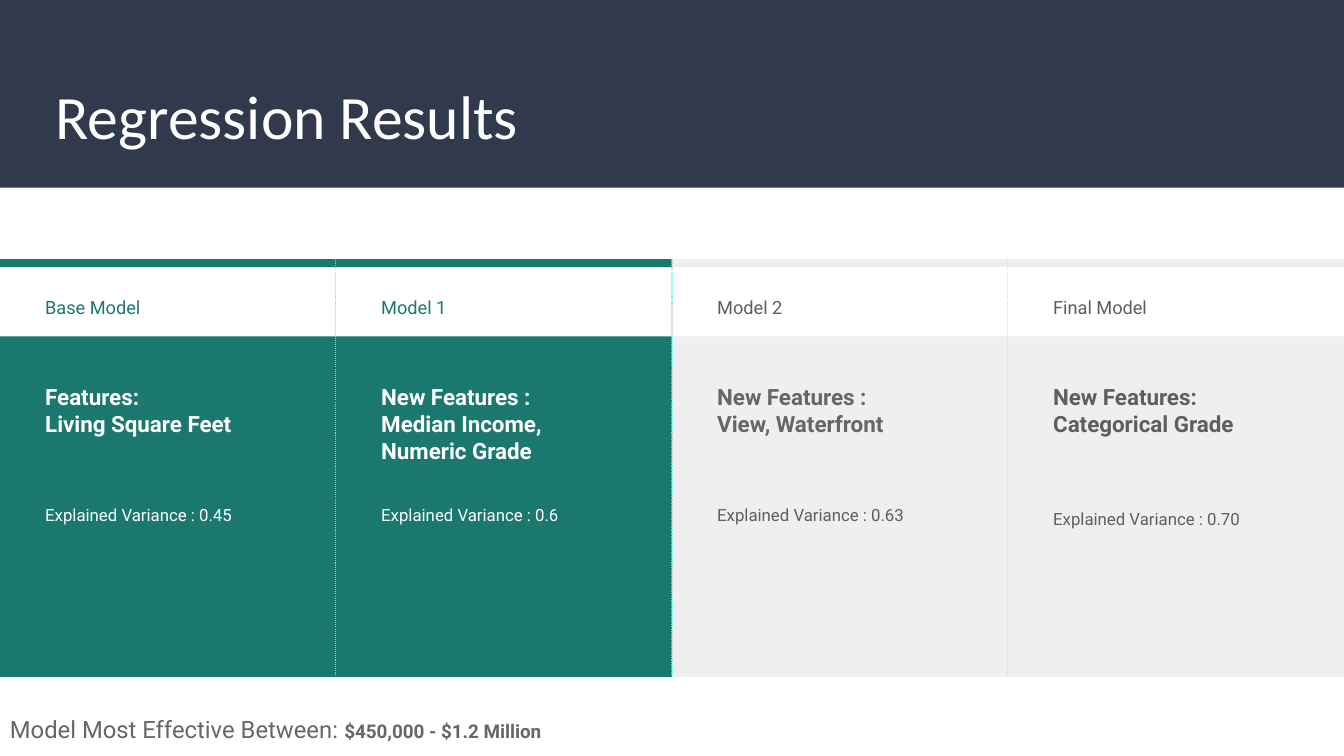
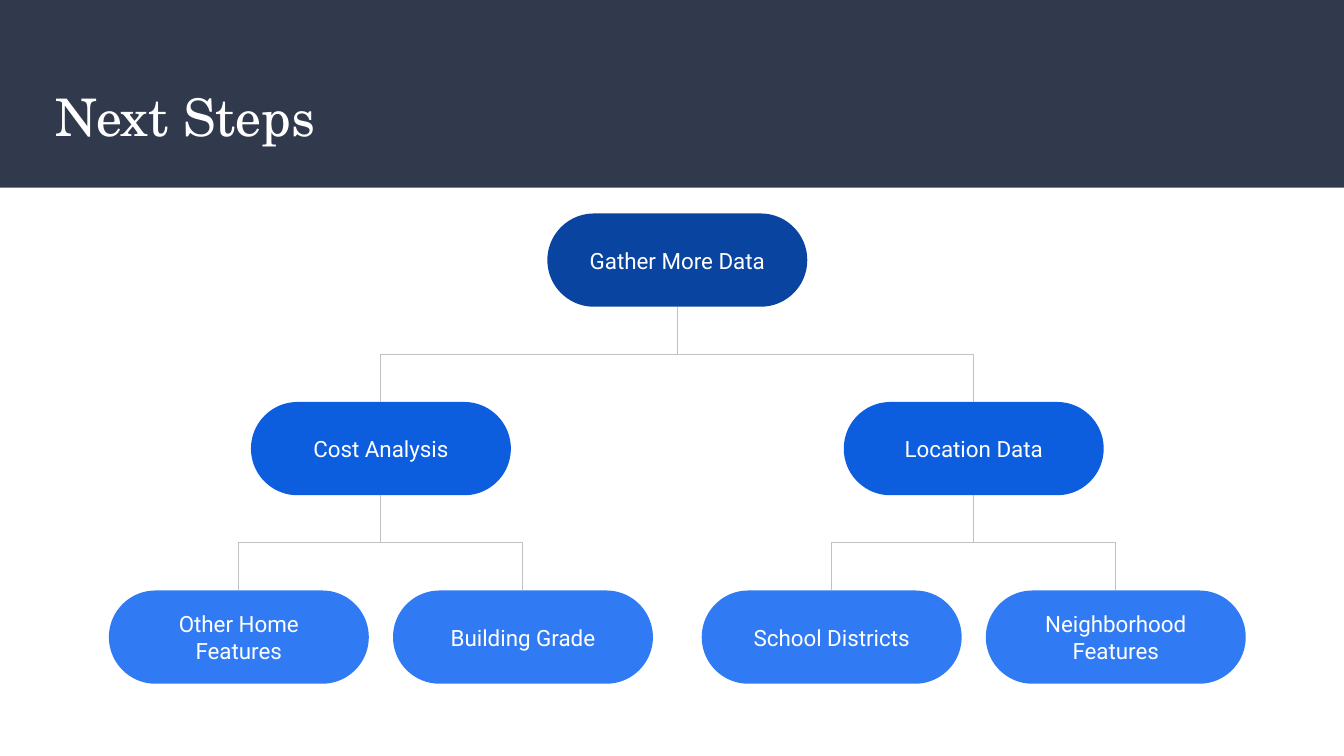
from dataclasses import dataclass
from typing import Optional

from lxml.etree import SubElement
from pptx import Presentation
from pptx.dml.color import RGBColor
from pptx.enum.dml import MSO_LINE_DASH_STYLE as Dash
from pptx.enum.shapes import MSO_CONNECTOR as Line, MSO_SHAPE as Shape
from pptx.enum.text import MSO_ANCHOR as Anchor, PP_ALIGN as Align
from pptx.oxml.ns import qn
from pptx.util import Cm, Pt

COLORS = {
    "navy": "31394D", "white": "FFFFFF", "teal": "1B786E", "mint": "83E3D9",
    "pale": "EFEFEF", "rule": "D9D9D9", "text": "5E5E5E", "gray": "666666",
    "root": "0944A1", "branch": "0D5DDF", "leaf": "307BF3", "link": "C2C2C2",
}
BODY_FONT = "Roboto"
PAGE_WIDTH, PAGE_HEIGHT = 33.87, 19.05
COLUMN_WIDTH = PAGE_WIDTH / 4
NODE_WIDTH, NODE_HEIGHT = 6.55, 2.35
TREE_TOP, LEVEL_STEP = 5.38, 4.75
TOP_SITE, BOTTOM_SITE = 0, 2


@dataclass
class Model:
    name: str
    features: str
    variance: str
    fill: str
    name_color: str
    feature_color: str
    variance_color: str
    rule: Optional[str] = None
    variance_top: float = 12.34


@dataclass
class Node:
    label: str
    center: float
    level: int
    parent: Optional[str] = None


MODELS = [
    Model("Base Model", "Features:\vLiving Square Feet", "0.45",
          "teal", "teal", "white", "white", "mint"),
    Model("Model 1", "New Features :\vMedian Income, Numeric Grade", "0.6",
          "teal", "teal", "white", "white", "mint"),
    Model("Model 2", "New Features :\vView, Waterfront", "0.63",
          "pale", "text", "gray", "text", "rule"),
    Model("Final Model", "New Features: Categorical Grade", "0.70",
          "pale", "text", "text", "text", variance_top=12.45),
]

LEVEL_FILLS = ["root", "branch", "leaf"]
ROOT_CENTER, BRANCH_OFFSET, LEAF_OFFSET = 17.07, 7.47, 3.58
LEFT_CENTER = ROOT_CENTER - BRANCH_OFFSET
RIGHT_CENTER = ROOT_CENTER + BRANCH_OFFSET
NODES = [
    Node("Gather More Data", ROOT_CENTER, 0),
    Node("Cost Analysis", LEFT_CENTER, 1, "Gather More Data"),
    Node("Location Data", RIGHT_CENTER, 1, "Gather More Data"),
    Node("Other Home Features", LEFT_CENTER - LEAF_OFFSET, 2, "Cost Analysis"),
    Node("Building Grade", LEFT_CENTER + LEAF_OFFSET, 2, "Cost Analysis"),
    Node("School Districts", RIGHT_CENTER - LEAF_OFFSET, 2, "Location Data"),
    Node("Neighborhood Features", RIGHT_CENTER + LEAF_OFFSET, 2, "Location Data"),
]


def rgb(name: str) -> RGBColor:
    return RGBColor.from_string(COLORS[name])


def style_font(font, size: float, color: str, bold: bool = False,
               name: str = BODY_FONT) -> None:
    font.name, font.size, font.bold = name, Pt(size), bold
    font.color.rgb = rgb(color)


def set_frame(frame, inset_x: float, inset_y: float, anchor=Anchor.TOP) -> None:
    frame.word_wrap = True
    frame.vertical_anchor = anchor
    frame.margin_left = frame.margin_right = Cm(inset_x)
    frame.margin_top = frame.margin_bottom = Cm(inset_y)


def add_block(page, kind, left: float, top: float, width: float,
              height: float, fill: str):
    block = page.shapes.add_shape(kind, Cm(left), Cm(top), Cm(width), Cm(height))
    block.shadow.inherit = False
    block.fill.solid()
    block.fill.fore_color.rgb = rgb(fill)
    block.line.fill.background()
    return block


def add_text(page, left: float, top: float, width: float, height: float,
             text: str, size: float, color: str, bold: bool = False,
             spacing: float = 1.0, after: float = 0):
    box = page.shapes.add_textbox(Cm(left), Cm(top), Cm(width), Cm(height))
    set_frame(box.text_frame, 0.34, 0.34)
    para = box.text_frame.paragraphs[0]
    para.text = text
    para.line_spacing, para.space_after = spacing, Pt(after)
    style_font(para.font, size, color, bold)
    return box


def add_line(page, kind, start: tuple, end: tuple, color: str):
    line = page.shapes.add_connector(kind, *map(Cm, start + end))
    line.line.color.rgb = rgb(color)
    line.line.width = Pt(0.75)
    SubElement(line.element.spPr, qn("a:effectLst"))
    return line


def add_page(deck, title: str, size: float, font: str):
    """Add a page with the dark band and its title."""
    page = deck.slides.add_slide(deck.slide_layouts[6])
    add_block(page, Shape.RECTANGLE, 0, 0, PAGE_WIDTH, 4.73, "navy")
    box = page.shapes.add_textbox(Cm(1.15), Cm(1.85), Cm(31.55), Cm(2.32))
    set_frame(box.text_frame, 0.25, 0.13, Anchor.MIDDLE)
    para = box.text_frame.paragraphs[0]
    para.text = title
    para.line_spacing = 0.9
    style_font(para.font, size, "white", name=font)
    return page


def add_model(page, model: Model, index: int) -> None:
    left = index * COLUMN_WIDTH
    text_left = left + 0.8
    add_block(page, Shape.RECTANGLE, left, 8.48, COLUMN_WIDTH, 8.58, model.fill)
    add_block(page, Shape.RECTANGLE, left, 6.53, COLUMN_WIDTH, 0.2, model.fill)
    add_text(page, text_left, 7.06, 3.23, 0.97, model.name, 13,
             model.name_color, spacing=1.15, after=21)
    add_text(page, text_left, 9.32, 6.86, 2.95, model.features, 16,
             model.feature_color, bold=True)
    add_text(page, text_left, model.variance_top, 6.86, 3.68,
             f"Explained Variance : {model.variance}", 12,
             model.variance_color, spacing=1.15, after=21)


def add_divider(page, index: int, color: str) -> None:
    right = (index + 1) * COLUMN_WIDTH
    divider = add_line(page, Line.STRAIGHT, (right, 6.53), (right, 17.02), color)
    divider.line.dash_style = Dash.ROUND_DOT


def level_top(level: int) -> float:
    return TREE_TOP + level * LEVEL_STEP


def add_node(page, node: Node):
    pill = add_block(page, Shape.ROUNDED_RECTANGLE, node.center - NODE_WIDTH / 2,
                     level_top(node.level), NODE_WIDTH, NODE_HEIGHT,
                     LEVEL_FILLS[node.level])
    pill.adjustments[0] = 0.5
    set_frame(pill.text_frame, 0.34, 0.34, Anchor.MIDDLE)
    para = pill.text_frame.paragraphs[0]
    para.text = node.label
    para.alignment = Align.CENTER
    style_font(para.font, 16, "white")
    return pill


def add_link(page, parent: Node, child: Node, pills: dict) -> None:
    """Join parent to child with an elbow turned to leave downwards."""
    start_y = level_top(parent.level) + NODE_HEIGHT
    end_y = level_top(child.level)
    mid_x, mid_y = (parent.center + child.center) / 2, (start_y + end_y) / 2
    half_run, half_drop = (child.center - parent.center) / 2, (end_y - start_y) / 2
    link = add_line(page, Line.ELBOW, (mid_x + half_drop, mid_y - half_run),
                    (mid_x - half_drop, mid_y + half_run), "link")
    link.element.spPr.find(qn("a:xfrm")).set("rot", str(270 * 60000))
    ends = next(link.element.iter(qn("p:cNvCxnSpPr")))
    for tag, node, site in (("a:stCxn", parent, BOTTOM_SITE),
                            ("a:endCxn", child, TOP_SITE)):
        SubElement(ends, qn(tag), id=str(pills[node.label].shape_id), idx=str(site))


def build_results(deck) -> None:
    page = add_page(deck, "Regression Results", 44, "Calibri")
    for index, model in enumerate(MODELS):
        add_model(page, model, index)
    for index, model in enumerate(MODELS):
        if model.rule:
            add_divider(page, index, model.rule)

    # Price range below the columns
    box = add_text(page, 0, 17.65, 28.58, 1.24, "Model Most Effective Between: ",
                   17, "gray", spacing=1.15, after=16)
    set_frame(box.text_frame, 0.25, 0.25)
    span = box.text_frame.paragraphs[0].add_run()
    span.text = "$450,000 - $1.2 Million"
    style_font(span.font, 13.5, "gray", bold=True)


def build_next_steps(deck) -> None:
    page = add_page(deck, "Next Steps", 37, "TeX Gyre Schola")
    nodes = {node.label: node for node in NODES}
    pills = {node.label: add_node(page, node) for node in NODES}
    for node in NODES:
        if node.parent:
            add_link(page, nodes[node.parent], node, pills)


def main() -> None:
    deck = Presentation()
    deck.slide_width, deck.slide_height = Cm(PAGE_WIDTH), Cm(PAGE_HEIGHT)
    build_results(deck)
    build_next_steps(deck)
    deck.save("out.pptx")


if __name__ == "__main__":
    main()
